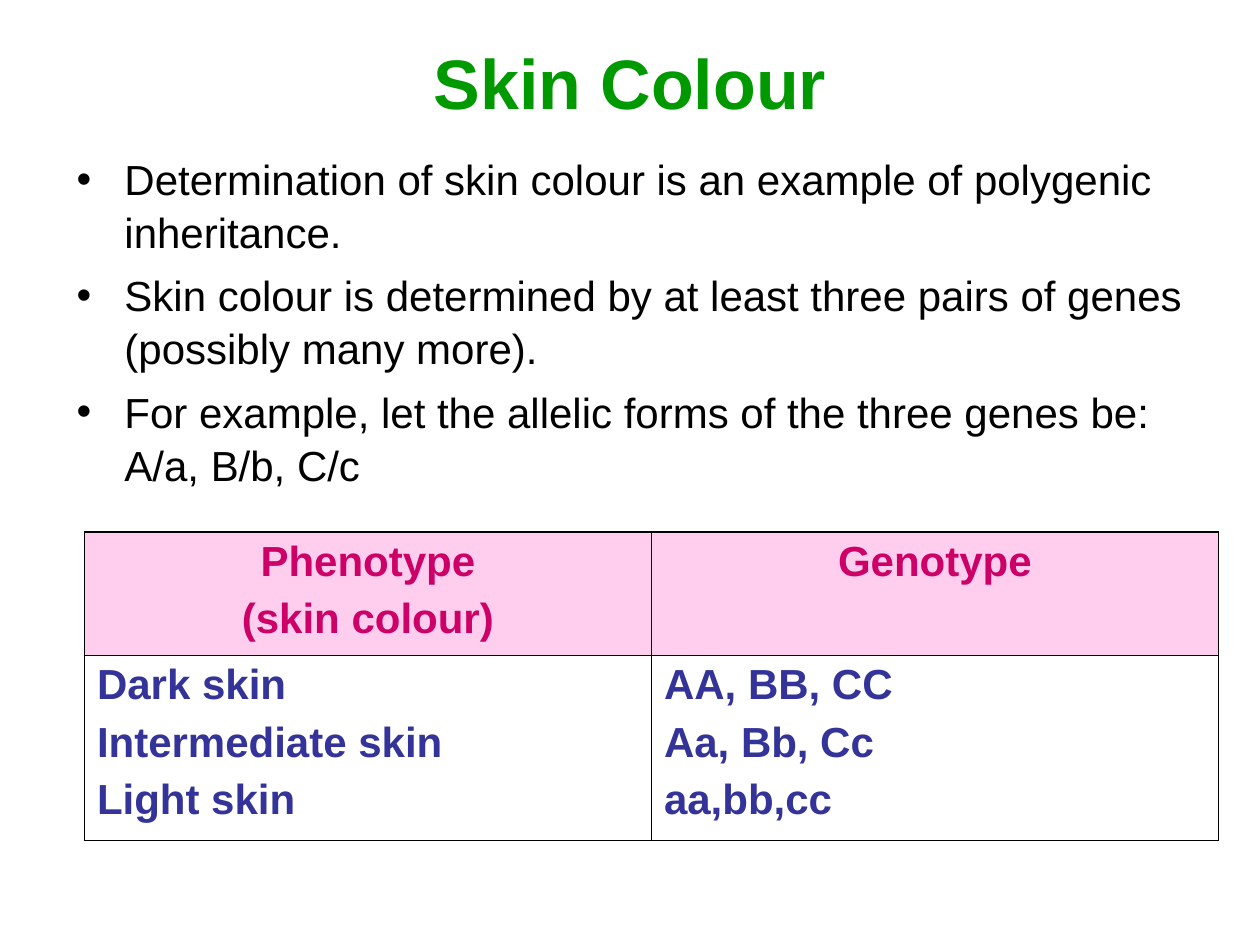
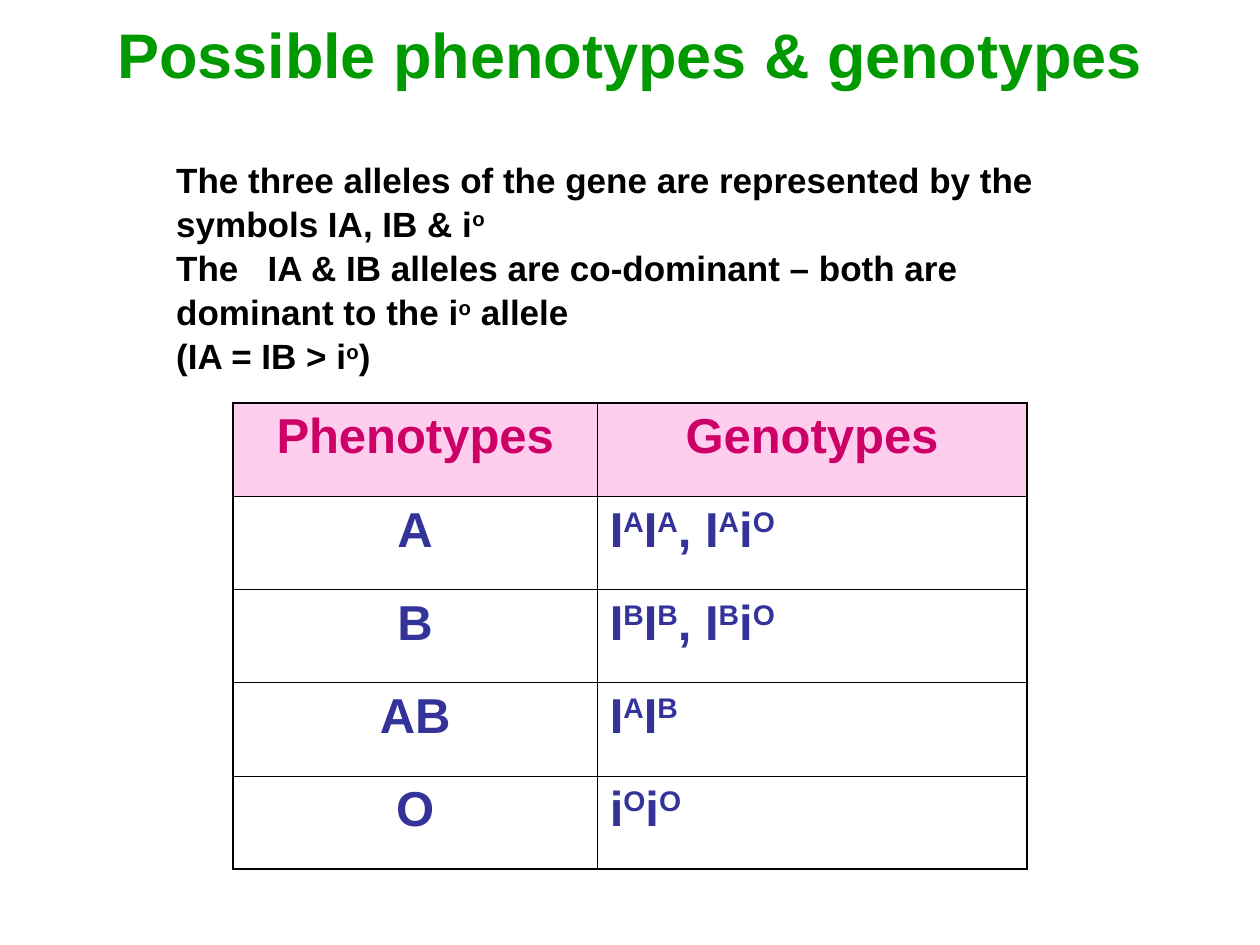
from lxml.etree import SubElement
from pptx import Presentation
from pptx.dml.color import RGBColor
from pptx.enum.text import MSO_ANCHOR, MSO_AUTO_SIZE, PP_ALIGN
from pptx.oxml.ns import qn
from pptx.util import Inches, Pt

FONT = "Arial"
COLORS = {"title": "009900", "text": "000000", "header": "CC0066",
          "header_fill": "FFCDEE", "value": "333399", "border": "000000"}
OUTER_LINE, INNER_LINE = 1.08, 0.45
TEXT_LINE_SPACING = 1.05

# Content: text between carets is superscript
SKIN_POINTS = [
    "Determination of skin colour is an example of polygenic inheritance.",
    "Skin colour is determined by at least three pairs of genes (possibly many more).",
    "For example, let the allelic forms of the three genes be: A/a, B/b, C/c",
]
SKIN_TABLE = [
    (["Phenotype", "(skin colour)"], ["Genotype"]),
    (["Dark skin", "Intermediate skin", "Light skin"],
     ["AA, BB, CC", "Aa, Bb, Cc", "aa,bb,cc"]),
]
ALLELE_NOTES = [
    "The three alleles of the gene are represented by the symbols IA, IB & i^o^",
    "The   IA & IB alleles are co-dominant – both are dominant to the i^o^ allele",
    "(IA = IB > i^o^)",
]
BLOOD_TABLE = [
    (["Phenotypes"], ["Genotypes"]),
    (["A"], ["I^A^I^A^, I^A^i^O^"]),
    (["B"], ["I^B^I^B^, I^B^i^O^"]),
    (["AB"], ["I^A^I^B^"]),
    (["O"], ["i^O^i^O^"]),
]


def write(frame, lines, size, color, bold=True, align=PP_ALIGN.LEFT,
          space=0, line_spacing=None, bullet=False):
    """Fill a text frame with one paragraph per line."""
    for index, line in enumerate(lines):
        para = frame.add_paragraph() if index else frame.paragraphs[0]
        para.alignment = align
        if index:
            para.space_before = Pt(space)
        if line_spacing:
            para.line_spacing = line_spacing
        if bullet:
            properties = para._p.get_or_add_pPr()
            properties.set("marL", str(Inches(0.38)))
            properties.set("indent", str(-Inches(0.38)))
            SubElement(properties, qn("a:buFont"), typeface=FONT)
            SubElement(properties, qn("a:buChar"), char="•")
        font = para.font
        font.name, font.size, font.bold = FONT, Pt(size), bold
        font.color.rgb = RGBColor.from_string(COLORS[color])
        for part, text in enumerate(line.split("^")):
            if text:
                span = para.add_run()
                span.text = text
                if part % 2:
                    span._r.get_or_add_rPr().set("baseline", "30000")


def add_page(deck, title, size, height, bottom_inset=0.05):
    page = deck.slides.add_slide(deck.slide_layouts[5])
    box = page.shapes.title
    box.left, box.top = Inches(0.5), Inches(0.3)
    box.width, box.height = Inches(9), Inches(height)
    frame = box.text_frame
    frame.auto_size = MSO_AUTO_SIZE.NONE
    frame.vertical_anchor = MSO_ANCHOR.MIDDLE
    frame.margin_bottom = Inches(bottom_inset)
    write(frame, [title], size, "title", align=PP_ALIGN.CENTER)
    return page


def add_text(page, place, lines, size, **style):
    box = page.shapes.add_textbox(*map(Inches, place))
    box.text_frame.word_wrap = True
    write(box.text_frame, lines, size, "text",
          line_spacing=TEXT_LINE_SPACING, **style)


def set_border(cell, side, width):
    line = SubElement(cell._tc.get_or_add_tcPr(), qn(f"a:ln{side}"), w=str(Pt(width)))
    fill = SubElement(line, qn("a:solidFill"))
    SubElement(fill, qn("a:srgbClr"), val=COLORS["border"])


def add_grid(page, left, top, widths, heights, rows, size, center_first=False):
    """Add a table with a pink header row and a heavier outer border."""
    table = page.shapes.add_table(
        len(rows), len(widths), Inches(left), Inches(top),
        Inches(sum(widths)), Inches(sum(heights))).table
    table.first_row = table.horz_banding = False
    for column, width in zip(table.columns, widths):
        column.width = Inches(width)
    for r, (cells, height) in enumerate(zip(rows, heights)):
        table.rows[r].height = Inches(height)
        for c, lines in enumerate(cells):
            cell = table.cell(r, c)
            edges = {"L": c == 0, "R": c == len(widths) - 1,
                     "T": r == 0, "B": r == len(rows) - 1}
            for side, is_outer in edges.items():
                set_border(cell, side, OUTER_LINE if is_outer else INNER_LINE)
            header = r == 0
            if header:
                cell.fill.solid()
                cell.fill.fore_color.rgb = RGBColor.from_string(COLORS["header_fill"])
            else:
                cell.fill.background()
            centered = header or (center_first and c == 0)
            write(cell.text_frame, lines, size, "header" if header else "value",
                  align=PP_ALIGN.CENTER if centered else PP_ALIGN.LEFT, space=size / 4)


def main():
    deck = Presentation()
    deck.slide_width, deck.slide_height = Inches(10), Inches(7.5)

    # Skin colour
    page = add_page(deck, "Skin Colour", 40, 0.69)
    add_text(page, (0.51, 1.15, 9, 2.71), SKIN_POINTS, 24,
             bold=False, space=6, bullet=True)
    add_grid(page, 0.67, 4.22, [4.5, 4.5], [0.98, 1.46], SKIN_TABLE, 24)

    # Blood groups: the title sits high in its box
    page = add_page(deck, "Possible phenotypes & genotypes", 36, 0.81, bottom_inset=0.62)
    add_grid(page, 1.85, 3.2, [2.89, 3.41], [0.74] * len(BLOOD_TABLE),
             BLOOD_TABLE, 28, center_first=True)
    add_text(page, (1.3, 1.19, 7.61, 1.77), ALLELE_NOTES, 20)

    deck.save("out.pptx")


if __name__ == "__main__":
    main()
